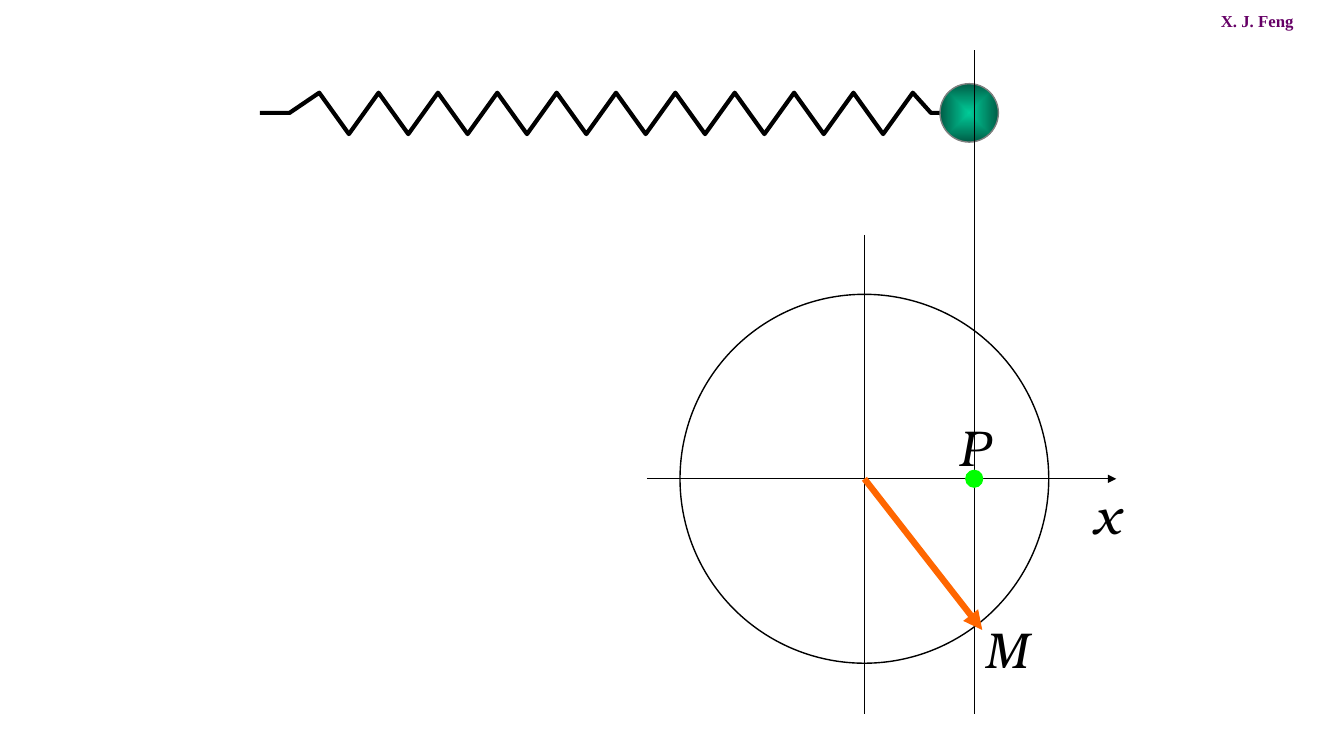
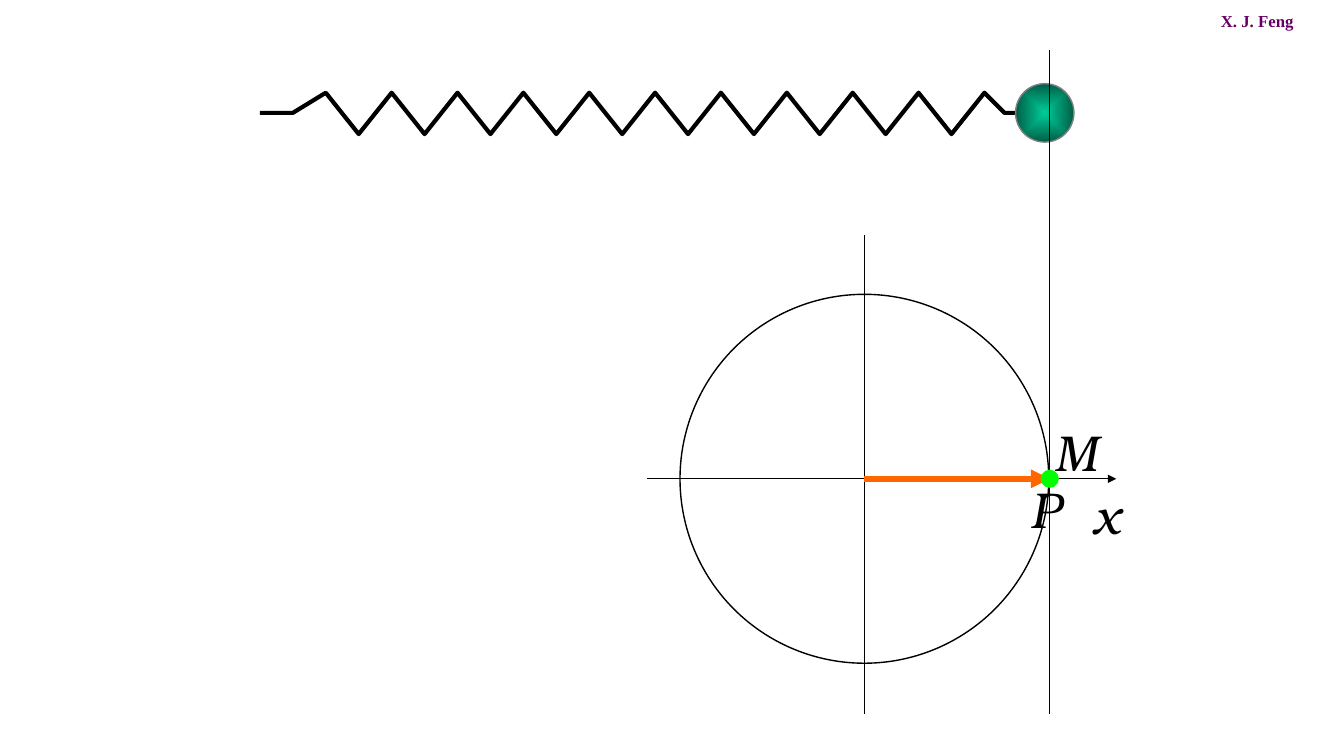
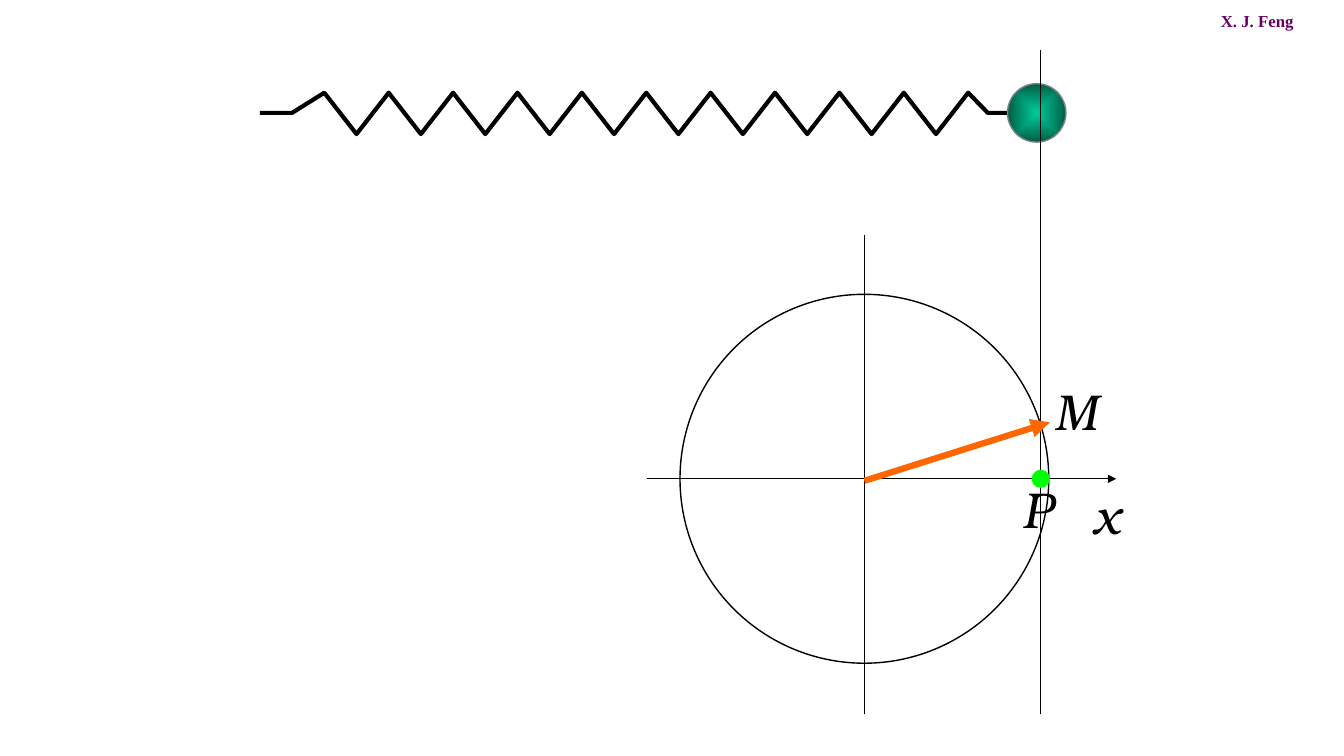
"""Build three slides linking a spring oscillator to its rotating vector."""
import pptx
import pptx.dml.color
import pptx.enum.shapes
import pptx.enum.text
import pptx.oxml
import pptx.oxml.ns
import pptx.util

Inches = pptx.util.Inches
Pt = pptx.util.Pt
RGB = pptx.dml.color.RGBColor.from_string
qn = pptx.oxml.ns.qn
OVAL = pptx.enum.shapes.MSO_SHAPE.OVAL
STRAIGHT = pptx.enum.shapes.MSO_CONNECTOR.STRAIGHT

COLORS = {
    "ink": "000000",
    "author": "660066",
    "bead_core": "00CC99",
    "bead_edge": "005E47",
    "bead_rim": "808080",
    "vector": "FF6600",
    "point": "00FF00",
}
AUTHOR_FONT = {"name": "Times New Roman", "size": Pt(12), "bold": True}
LABEL_FONT = {"name": "TeX Gyre Bonum", "size": Pt(36), "italic": True}

CENTER_X, AXIS_Y, RADIUS = 8.58, 4.75, 1.83
SPRING_LEFT, SPRING_Y, CREST_Y, TROUGH_Y = 2.58, 1.12, 0.92, 1.33
SPRING_TURNS, LAST_TURN = 22, 0.61
BEAD_SIZE, POINT_SIZE = 0.58, 0.17

MOTIONS = [
    {"spring_right": 9.42, "bead_left": 9.33, "x": 9.67,
     "vector": (4.75, 9.75, 6.25), "M": (9.67, 6.08), "P": (9.42, 4.08)},
    {"spring_right": 10.17, "bead_left": 10.08, "x": 10.42,
     "vector": (4.75, 10.42, 4.75), "M": (10.37, 4.13), "P": (10.13, 4.69)},
    {"spring_right": 10, "bead_left": 10, "x": 10.33,
     "vector": (4.77, 10.42, 4.19), "M": (10.37, 3.72), "P": (10.05, 4.69)},
]


def outline(shape, color, width):
    shape.line.color.rgb = RGB(COLORS[color])
    shape.line.width = Pt(width)
    effects = pptx.oxml.parse_xml(
        f'<a:effectLst {pptx.oxml.ns.nsdecls("a")}/>')
    shape.element.spPr.append(effects)


def write(slide, text, box, font_format, color, wrap):
    textbox = slide.shapes.add_textbox(*map(Inches, box))
    frame = textbox.text_frame
    frame.word_wrap = wrap
    frame.auto_size = pptx.enum.text.MSO_AUTO_SIZE.SHAPE_TO_FIT_TEXT
    run = frame.paragraphs[0].add_run()
    run.text = text
    run.font.color.rgb = RGB(COLORS[color])
    for attribute, value in font_format.items():
        setattr(run.font, attribute, value)
    return textbox


deck = pptx.Presentation()
deck.slide_width, deck.slide_height = Inches(13.34), Inches(7.5)
blank = deck.slide_layouts[6]
for placeholder in list(blank.placeholders):
    blank.shapes.element.remove(placeholder.element)
slides = [deck.slides.add_slide(blank) for _ in MOTIONS]

author = write(slides[0], "X. J. Feng", (12.02, 0.06, 1.26, 0.3),
               AUTHOR_FONT, "author", True)
blank.shapes.element.append(author.element)

for slide, motion in zip(slides, MOTIONS):
    shapes = slide.shapes
    x = motion["x"]
    spring_right = motion["spring_right"]

    step = (spring_right - SPRING_LEFT) / (SPRING_TURNS + 2 * LAST_TURN)
    turns = [(SPRING_LEFT + step, SPRING_Y)]
    for turn in range(2, SPRING_TURNS + 1):
        turns.append((SPRING_LEFT + turn * step, TROUGH_Y if turn % 2 else CREST_Y))
    turns += [(spring_right - LAST_TURN * step, SPRING_Y), (spring_right, SPRING_Y)]
    builder = shapes.build_freeform(Inches(SPRING_LEFT), Inches(SPRING_Y))
    builder.add_line_segments(
        [(Inches(across), Inches(down)) for across, down in turns], close=False)
    spring = builder.convert_to_shape()
    spring.fill.background()
    outline(spring, "ink", 3)

    bead = shapes.add_shape(OVAL, Inches(motion["bead_left"]), Inches(0.83),
                            Inches(BEAD_SIZE), Inches(BEAD_SIZE))
    bead.fill.gradient()
    for stop, color, position in zip(bead.fill.gradient_stops,
                                     ("bead_core", "bead_edge"), (0, 1)):
        stop.color.rgb = RGB(COLORS[color])
        stop.position = position
    direction = bead.element.spPr.find(".//" + qn("a:lin"))
    direction.getparent().replace(direction, pptx.oxml.parse_xml(
        f'<a:path {pptx.oxml.ns.nsdecls("a")} path="rect">'
        '<a:fillToRect l="50000" t="50000" r="50000" b="50000"/></a:path>'))
    outline(bead, "bead_rim", 1)

    circle = shapes.add_shape(OVAL, Inches(CENTER_X - RADIUS), Inches(AXIS_Y - RADIUS),
                              Inches(2 * RADIUS), Inches(2 * RADIUS))
    circle.fill.background()
    outline(circle, "ink", 1)

    vector_y, tip_x, tip_y = motion["vector"]
    for ends, color, width, arrow in [
        ((x, 0.5, x, 7.08), "ink", 1, False),
        ((6.42, AXIS_Y, 11.08, AXIS_Y), "ink", 1, True),
        ((CENTER_X, 2.33, CENTER_X, 7.08), "ink", 1, False),
        ((CENTER_X, vector_y, tip_x, tip_y), "vector", 4.5, True),
    ]:
        line = shapes.add_connector(STRAIGHT, *map(Inches, ends))
        outline(line, color, width)
        if arrow:
            line.element.spPr.find(qn("a:ln")).append(pptx.oxml.parse_xml(
                f'<a:tailEnd {pptx.oxml.ns.nsdecls("a")} type="triangle"/>'))

    for label, corner, width in [("x", (10.75, AXIS_Y), 0.47),
                                 ("M", motion["M"], 0.63),
                                 ("P", motion["P"], 0.5)]:
        write(slide, label, (*corner, width, 0.7), LABEL_FONT, "ink", False)

    point = shapes.add_shape(OVAL, Inches(x - POINT_SIZE / 2),
                             Inches(AXIS_Y - POINT_SIZE / 2),
                             Inches(POINT_SIZE), Inches(POINT_SIZE))
    point.fill.solid()
    point.fill.fore_color.rgb = RGB(COLORS["point"])
    outline(point, "point", 0.75)

deck.save("out.pptx")
